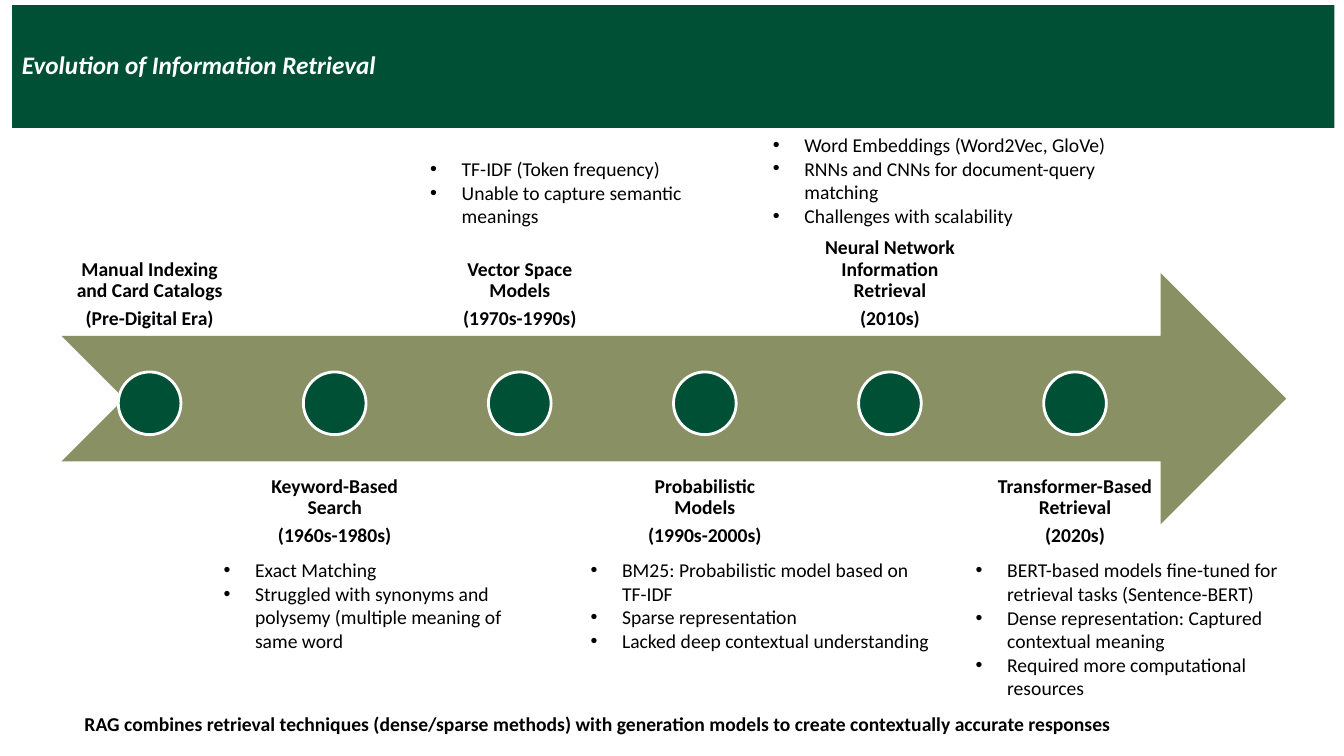
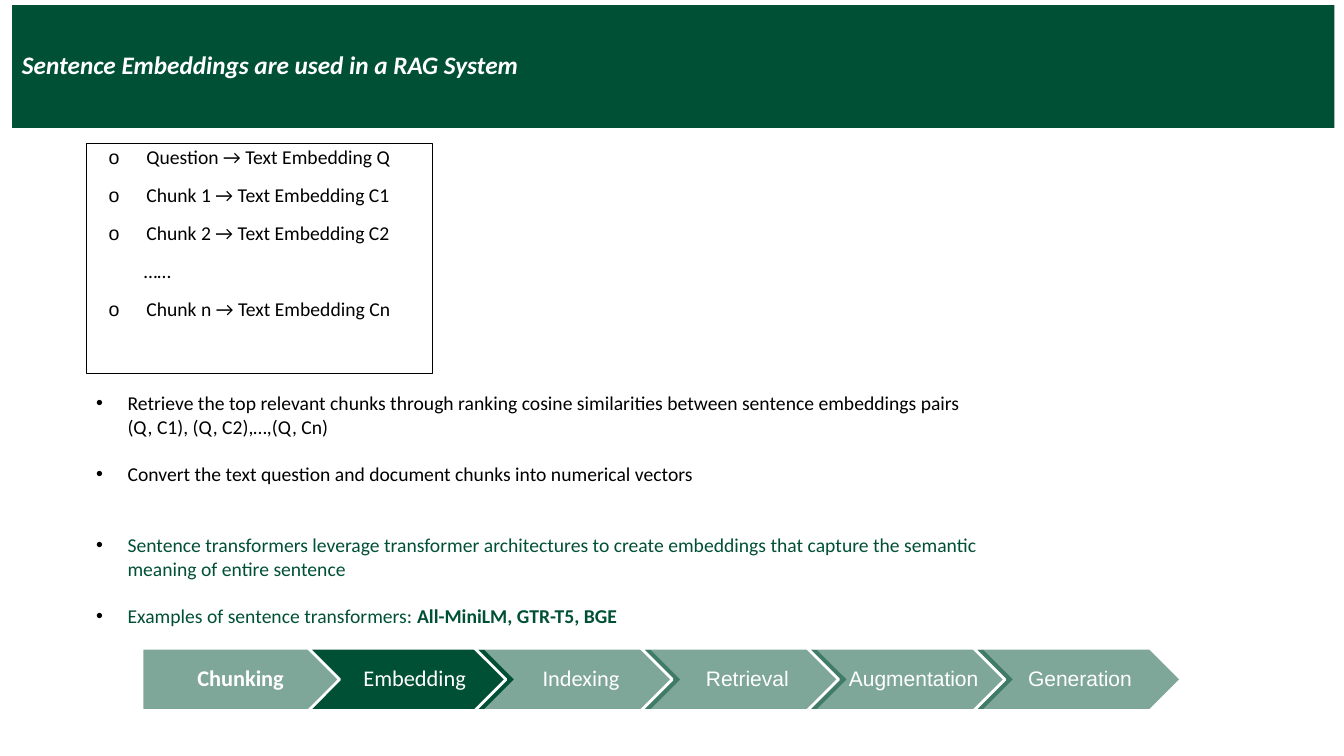
from lxml.etree import SubElement
from pptx import Presentation
from pptx.dml.color import RGBColor
from pptx.enum.shapes import MSO_SHAPE as Shape
from pptx.enum.text import MSO_ANCHOR as Anchor, PP_ALIGN as Align
from pptx.oxml.ns import qn
from pptx.util import Pt

GREEN = RGBColor(0x00, 0x50, 0x35)
OLIVE = RGBColor(0x89, 0x90, 0x64)
BLACK = RGBColor(0x00, 0x00, 0x00)
WHITE = RGBColor(0xFF, 0xFF, 0xFF)

BODY_FONT = "Calibri"
BULLET_FONT = "Arial"
DEFAULT_INSETS = (7.2, 3.6, 7.2, 3.6)
BLANK_LINE = 17

STAGE_LEFT, STAGE_PITCH, STAGE_WIDTH = 43.9, 132.2, 126
ARROW_TOP, ARROW_HEIGHT = 195.1, 179.3
LABEL_TOPS = (64.1, 332.6)  # above and below the arrow
DOT_TOP, DOT_SIZE = 265.7, 44.8
STAGES = [
    ("Manual Indexing and Card Catalogs", "(Pre-Digital Era)"),
    ("Keyword-Based Search", "(1960s-1980s)"),
    ("Vector Space Models", "(1970s-1990s)"),
    ("Probabilistic Models", "(1990s-2000s)"),
    ("Neural Network Information Retrieval", "(2010s)"),
    ("Transformer-Based Retrieval", "(2020s)"),
]
STAGE_NOTES = [
    ((152.6, 395.3, 213.8, 75), [
        "Exact Matching",
        "Struggled with synonyms and polysemy (multiple meaning of same word",
    ]),
    ((300.2, 108.7, 209.5, 58), [
        "TF-IDF (Token frequency)",
        "Unable to capture semantic meanings",
    ]),
    ((414.7, 395.3, 257.8, 75), [
        "BM25: Probabilistic model based on TF-IDF",
        "Sparse representation",
        "Lacked deep contextual understanding",
    ]),
    ((545, 91.4, 262.1, 75), [
        "Word Embeddings (Word2Vec, GloVe)",
        "RNNs and CNNs for document-query matching",
        "Challenges with scalability",
    ]),
    ((689.8, 395.3, 238.3, 109), [
        "BERT-based models fine-tuned for retrieval tasks (Sentence-BERT)",
        "Dense representation: Captured contextual meaning",
        "Required more computational resources",
    ]),
]

STEP_LEFT, STEP_TOP, STEP_PITCH = 101.5, 463, 118.8
STEP_WIDTH, STEP_HEIGHT = 148.3, 44.6
ACTIVE_STEP = "Embedding"
STEPS = [
    ("Chunking", BODY_FONT, 16),
    ("Embedding", BODY_FONT, 16),
    ("Indexing", BODY_FONT, 16),
    ("Retrieval", "Arial", 15),
    ("Augmentation", "Arial", 15),
    ("Generation", "Arial", 15),
]


def points(values):
    return [Pt(value) for value in values]


def add_shape(slide, kind, box, fill=None, line=None, line_width=2, alpha=None):
    """Add a preset shape; alpha is its opacity in percent."""
    shape = slide.shapes.add_shape(kind, *points(box))
    shape.shadow.inherit = False
    if fill is None:
        shape.fill.background()
    else:
        shape.fill.solid()
        shape.fill.fore_color.rgb = fill
    if alpha is not None:
        color = shape.fill._xPr.find(qn("a:solidFill"))[0]
        SubElement(color, qn("a:alpha"), val=str(alpha * 1000))
    if line is None:
        shape.line.fill.background()
    else:
        shape.line.color.rgb = line
        shape.line.width = Pt(line_width)
    return shape


def set_frame(shape, anchor=Anchor.TOP, insets=DEFAULT_INSETS):
    frame = shape.text_frame
    frame.word_wrap = True
    frame.vertical_anchor = anchor
    (frame.margin_left, frame.margin_top,
     frame.margin_right, frame.margin_bottom) = points(insets)
    return frame


def add_text_box(slide, box, **frame_format):
    return set_frame(slide.shapes.add_textbox(*points(box)), **frame_format)


def add_run(paragraph, text, size=14, font=BODY_FONT, color=BLACK,
            bold=False, italic=False):
    run = paragraph.add_run()
    run.text = text
    run.font.size = Pt(size)
    run.font.name = font
    run.font.color.rgb = color
    run.font.bold = bold
    run.font.italic = italic


def write(frame, text, align=Align.LEFT, spacing=1.0, before=0, after=0,
          margin=0, indent=0, bullet=None, **run_format):
    """Write text as the next paragraph of the frame and return it."""
    first = frame.paragraphs[0]
    paragraph = frame.add_paragraph() if first.runs else first
    paragraph.alignment = align
    paragraph.line_spacing = spacing
    paragraph.space_before = Pt(before)
    paragraph.space_after = Pt(after)
    properties = paragraph._p.get_or_add_pPr()
    properties.set("marL", str(Pt(margin)))
    properties.set("indent", str(Pt(indent)))
    if bullet:
        color = SubElement(properties, qn("a:buClr"))
        SubElement(color, qn("a:srgbClr"), val=str(BLACK))
        SubElement(properties, qn("a:buFont"), typeface=BULLET_FONT)
        SubElement(properties, qn("a:buChar"), char=bullet)
    add_run(paragraph, text, **run_format)
    return paragraph


def write_bullet(frame, text, **text_format):
    return write(frame, text, bullet="•", margin=22.5, indent=-22.5, **text_format)


def add_titled_slide(presentation, title):
    slide = presentation.slides.add_slide(presentation.slide_layouts[6])
    band = add_shape(slide, Shape.RECTANGLE, (8.6, 3.6, 944.6, 87.8), fill=GREEN)
    write(set_frame(band, anchor=Anchor.MIDDLE), title, spacing=0.9, size=18,
          color=WHITE, bold=True, italic=True)
    return slide


def add_stage(slide, index, name, period):
    below = index % 2
    left = STAGE_LEFT + index * STAGE_PITCH
    frame = add_text_box(slide, (left, LABEL_TOPS[below], STAGE_WIDTH, ARROW_HEIGHT),
                         anchor=Anchor.TOP if below else Anchor.BOTTOM,
                         insets=(7.5, 7.9, 7.5, 7.9))
    for text in (name, period):
        write(frame, text, align=Align.CENTER, spacing=0.9, after=4.9, bold=True)
    dot_left = left + (STAGE_WIDTH - DOT_SIZE) / 2
    add_shape(slide, Shape.OVAL, (dot_left, DOT_TOP, DOT_SIZE, DOT_SIZE),
              fill=GREEN, line=WHITE)


def add_step(slide, index, name, font, size):
    kind = Shape.CHEVRON if index else Shape.PENTAGON
    left = STEP_LEFT + index * STEP_PITCH
    step = add_shape(slide, kind, (left, STEP_TOP, STEP_WIDTH, STEP_HEIGHT),
                     fill=GREEN, line=WHITE,
                     alpha=None if name == ACTIVE_STEP else 50)
    frame = set_frame(step, anchor=Anchor.MIDDLE, insets=(5, 3, 1.4, 3))
    write(frame, name, align=Align.CENTER, spacing=0.9, font=font, size=size,
          color=WHITE, bold=index == 0)


def build_evolution_slide(presentation):
    slide = add_titled_slide(presentation, "Evolution of Information Retrieval")
    add_shape(slide, Shape.NOTCHED_RIGHT_ARROW,
              (STAGE_LEFT, ARROW_TOP, 874.8, ARROW_HEIGHT), fill=OLIVE)
    for index, (name, period) in enumerate(STAGES):
        add_stage(slide, index, name, period)
    for box, notes in STAGE_NOTES:
        frame = add_text_box(slide, box)
        for note in notes:
            write_bullet(frame, note)
    write(add_text_box(slide, (53.3, 504.7, 809.3, 24.5)),
          "RAG combines retrieval techniques (dense/sparse methods) with generation "
          "models to create contextually accurate responses", bold=True)


def build_embeddings_slide(presentation):
    slide = add_titled_slide(presentation, "Sentence Embeddings are used in a RAG System")

    box = add_shape(slide, Shape.RECTANGLE, (61.5, 102.2, 247.7, 164.9),
                    line=BLACK, line_width=0.75)
    frame = set_frame(box)
    for source, vector in [("Question", "Q"), ("Chunk 1", "C1"), ("Chunk 2", "C2"),
                           None or ("", ""), ("Chunk n", "Cn")]:
        if source:
            write(frame, f"{source} → Text Embedding {vector}", spacing=0.9,
                  before=12, margin=36, indent=-27, bullet="o")
        else:
            write(frame, "……", spacing=0.9, before=12, margin=34.2)

    frame = add_text_box(slide, (61.5, 275.8, 648.7, 177))
    write_bullet(frame, "Retrieve the top relevant chunks through ranking cosine "
                 "similarities between sentence embeddings pairs "
                 "(Q, C1), (Q, C2),…,(Q, Cn)")
    write_bullet(frame, "Convert the text question and document chunks into "
                 "numerical vectors", before=BLANK_LINE)
    write_bullet(frame, "Sentence transformers leverage transformer architectures to "
                 "create embeddings that capture the semantic meaning of entire "
                 "sentence", before=2 * BLANK_LINE, color=GREEN)
    examples = write_bullet(frame, "Examples of sentence transformers: ",
                            before=BLANK_LINE, color=GREEN)
    add_run(examples, "All-MiniLM, GTR-T5, BGE", color=GREEN, bold=True)

    for index, (name, font, size) in enumerate(STEPS):
        add_step(slide, index, name, font, size)


def main():
    presentation = Presentation()
    presentation.slide_width, presentation.slide_height = Pt(960), Pt(540)
    build_evolution_slide(presentation)
    build_embeddings_slide(presentation)
    presentation.save("out.pptx")


if __name__ == "__main__":
    main()
